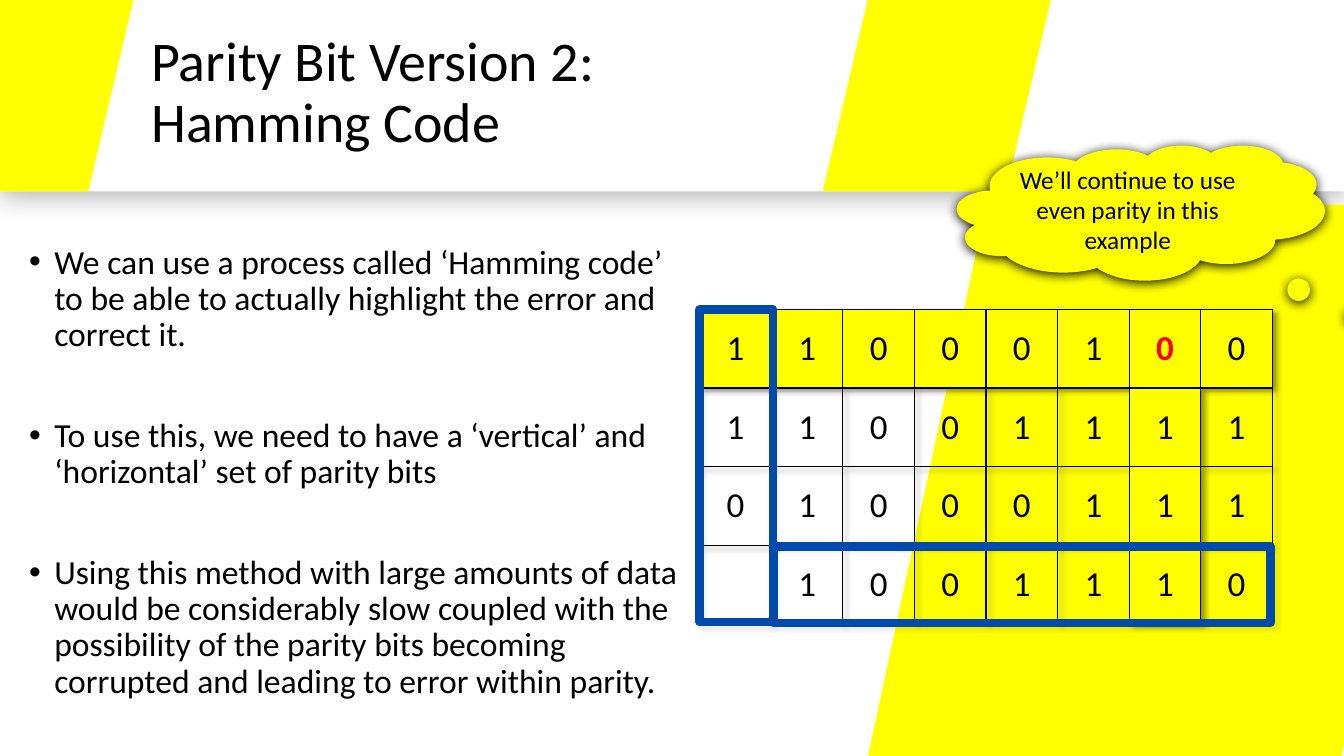
"""Slide on Hamming code: explanation, parity table and a thought bubble."""
import lxml.etree
import pptx
import pptx.dml.color
import pptx.enum.shapes
import pptx.enum.text
import pptx.oxml
import pptx.oxml.ns
import pptx.util

COLOURS = {"black": "000000", "white": "FFFFFF", "yellow": "FFFF00",
           "red": "FF0000", "blue": "004AAD"}
SHAPES = pptx.enum.shapes.MSO_SHAPE
CENTRE = pptx.enum.text.PP_ALIGN.CENTER
MIDDLE = pptx.enum.text.MSO_ANCHOR.MIDDLE
inches, points = pptx.util.Inches, pptx.util.Pt
qn = pptx.oxml.ns.qn


def rgb(name):
    return pptx.dml.color.RGBColor.from_string(COLOURS[name])


def add_run(paragraph, text, size, colour="black", bold=False):
    run = paragraph.add_run()
    run.text = text
    run.font.name = "Calibri"
    run.font.size = points(size)
    run.font.bold = bold
    run.font.color.rgb = rgb(colour)


deck = pptx.Presentation()
deck.slide_width, deck.slide_height = inches(13.33), inches(7.5)
slide = deck.slides.add_slide(deck.slide_layouts[5])
slide.background.fill.solid()
slide.background.fill.fore_color.rgb = rgb("white")

COLUMNS, ROWS = 8, 4
CELL_WIDTH, CELL_HEIGHT = 0.71, 0.78
TABLE_LEFT, TABLE_TOP = 6.94, 3.07
HEADER_HEIGHT = 1.9

decorations = []
for kind, colour, left, top, width, height in [
    (SHAPES.RECTANGLE, "white", 0, 0, 13.33, HEADER_HEIGHT),
    (SHAPES.FLOWCHART_DATA, "yellow", 8.61, 2.03, 5.87, 5.47),
    (SHAPES.FLOWCHART_DATA, "yellow", 8.16, -0.03, 2.27, 1.93),
    (SHAPES.CLOUD_CALLOUT, "yellow", 9.49, 1.44, 3.65, 1.34),
    (SHAPES.FLOWCHART_DATA, "yellow", -0.94, -0.03, 2.27, 1.93),
]:
    decoration = slide.shapes.add_shape(
        kind, inches(left), inches(top), inches(width), inches(height))
    decoration.shadow.inherit = False
    decoration.fill.solid()
    decoration.fill.fore_color.rgb = rgb(colour)
    decoration.line.fill.background()
    decorations.append(decoration)
header, backdrop, header_slant, thought, corner_slant = decorations

thought.adjustments[0], thought.adjustments[1] = 0.704, 0.936
thought.text_frame.word_wrap = True
thought.text_frame.vertical_anchor = MIDDLE
thought_line = thought.text_frame.paragraphs[0]
thought_line.alignment = CENTRE
add_run(thought_line, "We’ll continue to use even parity in this example", 18)

explanation = slide.shapes.add_textbox(
    inches(0.19), inches(2.15), inches(6.74), inches(5.08)).text_frame
explanation.word_wrap = True
explanation.vertical_anchor = MIDDLE
for index, point in enumerate([
    "We can use a process called ‘Hamming code’ to be able to actually "
    "highlight the error and correct it.",
    "To use this, we need to have a ‘vertical’ and ‘horizontal’ set of parity bits",
    "Using this method with large amounts of data would be considerably slow "
    "coupled with the possibility of the parity bits becoming corrupted and "
    "leading to error within parity.",
]):
    paragraph = explanation.add_paragraph() if index else explanation.paragraphs[0]
    properties = paragraph.element.get_or_add_pPr() if hasattr(
        paragraph, "element") else paragraph._p.get_or_add_pPr()
    properties.set("marL", str(inches(0.25)))
    properties.set("indent", str(-inches(0.25)))
    lxml.etree.SubElement(properties, qn("a:buFont")).set("typeface", "Arial")
    lxml.etree.SubElement(properties, qn("a:buChar")).set("char", "•")
    paragraph.line_spacing = 0.9
    if index:
        paragraph.space_before = points(46)
    add_run(paragraph, point, 24)

table_frame = slide.shapes.add_table(
    ROWS, COLUMNS, inches(TABLE_LEFT), inches(TABLE_TOP),
    inches(COLUMNS * CELL_WIDTH), inches(ROWS * CELL_HEIGHT))
backdrop.element.addnext(table_frame.element)
parity = table_frame.table
parity.first_row = parity.horz_banding = False
for column in parity.columns:
    column.width = inches(CELL_WIDTH)
for row, bits in enumerate(["11000100", "11001111", "01000111", " 1001110"]):
    parity.rows[row].height = inches(CELL_HEIGHT)
    for column, bit in enumerate(bits):
        cell = parity.cell(row, column)
        cell.margin_left = cell.margin_right = inches(0.14)
        cell.margin_top = cell.margin_bottom = inches(0.14)
        cell.vertical_anchor = MIDDLE
        if row == 0 or column == 6:
            cell.fill.solid()
            cell.fill.fore_color.rgb = rgb("yellow")
        else:
            cell.fill.background()
        if bit.strip():
            cell_line = cell.text_frame.paragraphs[0]
            cell_line.alignment = CENTRE
            is_error = (row, column) == (0, 6)
            add_run(cell_line, bit, 25, "red" if is_error else "black", is_error)
        cell_properties = cell._tc.get_or_add_tcPr()
        for order, side in enumerate(["lnL", "lnR", "lnT", "lnB"]):
            border = lxml.etree.Element(qn(f"a:{side}"), w=str(points(1)))
            border_fill = lxml.etree.SubElement(border, qn("a:solidFill"))
            lxml.etree.SubElement(border_fill, qn("a:srgbClr")).set("val", COLOURS["black"])
            cell_properties.insert(order, border)

table_effects = lxml.etree.Element(qn("a:effectLst"))
parity._tbl.tblPr.insert(0, table_effects)
for effects, opacity, blur, distance, angle in [
    (header.element.spPr.find(qn("a:effectLst")), 30, 20, 3, 91),
    (thought.element.spPr.find(qn("a:effectLst")), 100, 8.5, 1, 90),
    (table_effects, 40, 4, 3, 45),
]:
    shadow = lxml.etree.SubElement(
        effects, qn("a:outerShdw"), blurRad=str(points(blur)),
        dist=str(points(distance)), dir=str(angle * 60000))
    shade = lxml.etree.SubElement(shadow, qn("a:srgbClr"), val=COLOURS["black"])
    lxml.etree.SubElement(shade, qn("a:alpha"), val=str(opacity * 1000))

title = slide.shapes.title
corner_slant.element.addnext(title.element)
title.left, title.top = inches(1.4), inches(0.26)
title.width, title.height = inches(6.76), inches(1.34)
title.text_frame.word_wrap = True
title.text_frame.auto_size = pptx.enum.text.MSO_AUTO_SIZE.NONE
title.text_frame.vertical_anchor = MIDDLE
title_line = title.text_frame.paragraphs[0]
title_line.alignment = pptx.enum.text.PP_ALIGN.LEFT
title_line.line_spacing = 0.9
add_run(title_line, "Parity Bit Version 2: Hamming Code", 40)

parity_outlines = slide.shapes.add_group_shape()
for left, top, width, height in [
    (TABLE_LEFT, TABLE_TOP, 0.73, 3.1),
    (TABLE_LEFT + 0.73, 5.42, 4.93, 0.76),
]:
    outline = parity_outlines.shapes.add_shape(
        SHAPES.RECTANGLE, inches(left), inches(top), inches(width), inches(height))
    outline.shadow.inherit = False
    outline.fill.background()
    outline.line.color.rgb = rgb("blue")
    outline.line.width = points(6)

deck.save("out.pptx")
